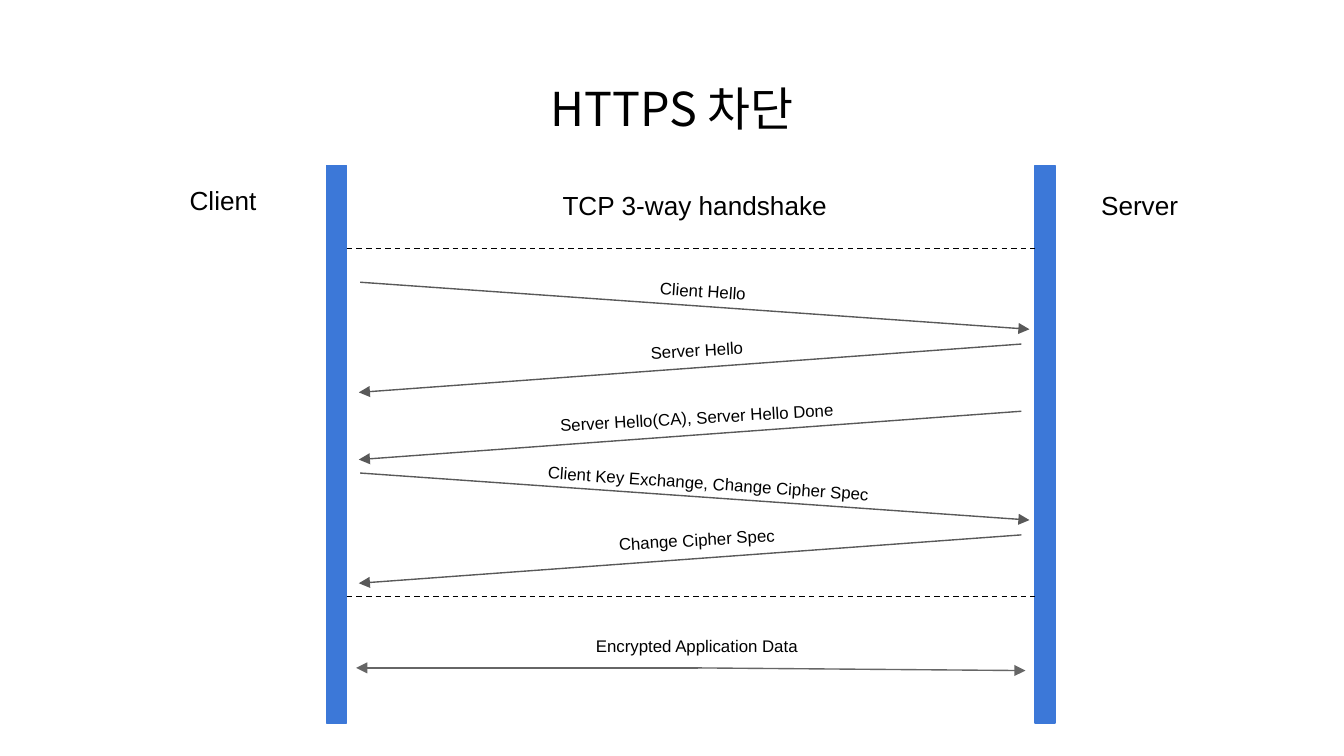
from lxml import etree
from pptx import Presentation
from pptx.dml.color import RGBColor
from pptx.enum.dml import MSO_LINE
from pptx.enum.shapes import MSO_CONNECTOR, MSO_SHAPE
from pptx.enum.text import MSO_ANCHOR, MSO_AUTO_SIZE, PP_ALIGN
from pptx.oxml.ns import qn
from pptx.util import Inches, Pt

STRAIGHT = MSO_CONNECTOR.STRAIGHT
RECTANGLE = MSO_SHAPE.RECTANGLE
DASH = MSO_LINE.DASH
CENTER = PP_ALIGN.CENTER
TOP, MIDDLE = MSO_ANCHOR.TOP, MSO_ANCHOR.MIDDLE
NO_AUTOFIT = MSO_AUTO_SIZE.NONE

COLORS = {"text": "000000", "lifeline": "3C78D8", "message": "595959", "data": "666666"}
BODY_FONT, TITLE_FONT = "Arial", "Noto Sans CJK KR"

# Columns of the sequence diagram, in inches
CLIENT_X, SERVER_X, LIFELINE_W = 2.43, 7.7, 0.15
LIFELINE_TOP, LIFELINE_H = 1.23, 4.15
PHASE_ENDS = (1.85, 4.44)

# Message routes: start x, end x, drop, label width, rotation
TO_SERVER = (2.68, 7.66, 0.35, 4, 3.9)
TO_CLIENT = (7.6, 2.67, 0.36, 4.73, -3.3)
# Text, arrow start y, route, label left, label top
MESSAGES = [
    ("Client Hello", 2.1, TO_SERVER, 3.23, 1.99),
    ("Server Hello", 2.56, TO_CLIENT, 2.82, 2.43),
    ("Server Hello(CA), Server Hello Done", 3.06, TO_CLIENT, 2.82, 2.93),
    ("Client Key Exchange, Change Cipher Spec", 3.52, TO_SERVER, 3.27, 3.42),
    ("Change Cipher Spec", 3.98, TO_CLIENT, 2.82, 3.84),
]
HEADINGS = [
    ("Client", 1.14, 1.27, 1.04, 0.41),
    ("TCP 3-way handshake", 2.83, 1.31, 4.68, 0.55),
    ("Server", 7.96, 1.31, 1.04, 0.41),
]


def rgb(name):
    return RGBColor.from_string(COLORS[name])


def write_text(holder, text, size, font_name=BODY_FONT, anchor=TOP):
    frame = holder.text_frame
    frame.text = text
    frame.word_wrap = True
    frame.auto_size = NO_AUTOFIT
    frame.vertical_anchor = anchor
    frame.margin_left = frame.margin_right = Inches(0.1)
    frame.margin_top = frame.margin_bottom = Inches(0.1)
    paragraph = frame.paragraphs[0]
    paragraph.alignment = CENTER
    paragraph.font.size = Pt(size)
    paragraph.font.name = font_name
    paragraph.font.color.rgb = rgb("text")
    return paragraph


def add_title(slide, text):
    title = slide.shapes.title
    title.left, title.top = Inches(0.34), Inches(0.49)
    title.width, title.height = Inches(9.32), Inches(0.63)
    paragraph = write_text(title, text, 25, TITLE_FONT, MIDDLE)
    # Hangul takes its typeface from the East Asian font slot
    properties = paragraph.font._element
    etree.SubElement(properties, qn("a:ea")).set("typeface", TITLE_FONT)


def add_label(slide, text, left, top, width, height, size, rotation=0):
    label = slide.shapes.add_textbox(*map(Inches, (left, top, width, height)))
    label.rotation = rotation
    write_text(label, text, size)


def add_lifeline(slide, left):
    bar = slide.shapes.add_shape(
        RECTANGLE, *map(Inches, (left, LIFELINE_TOP, LIFELINE_W, LIFELINE_H)))
    bar.shadow.inherit = False
    bar.fill.solid()
    bar.fill.fore_color.rgb = rgb("lifeline")
    bar.line.color.rgb = rgb("lifeline")
    bar.line.width = Pt(0.75)


def add_line(shapes, start, end, color):
    connector = shapes.add_connector(STRAIGHT, *map(Inches, (*start, *end)))
    connector.line.color.rgb = rgb(color)
    connector.line.width = Pt(0.75)
    etree.SubElement(connector._element.spPr, qn("a:effectLst"))
    return connector


def add_arrow(shapes, start, end, color):
    arrow = add_line(shapes, start, end, color)
    etree.SubElement(arrow.line._get_or_add_ln(), qn("a:tailEnd")).set("type", "triangle")


def add_message(slide, text, y, route, label_left, label_top):
    start_x, end_x, drop, label_width, rotation = route
    add_arrow(slide.shapes, (start_x, y), (end_x, y + drop), "message")
    add_label(slide, text, label_left, label_top, label_width, 0.36, 9, rotation)


def add_data_exchange(slide):
    add_label(slide, "Encrypted Application Data", 2.82, 4.63, 4.73, 0.36, 9, 0.1)
    arrows = slide.shapes.add_group_shape().shapes
    for end in ((7.63, 4.99), (2.65, 4.97)):
        add_arrow(arrows, (5.19, 4.97), end, "data")


def main():
    prs = Presentation()
    # Widescreen, 16:9
    prs.slide_width = Inches(10)
    prs.slide_height = prs.slide_width * 9 // 16
    slide = prs.slides.add_slide(prs.slide_layouts[5])
    add_title(slide, "HTTPS 차단")

    # Participants and phase boundaries
    for x in (CLIENT_X, SERVER_X):
        add_lifeline(slide, x)
    for y in PHASE_ENDS:
        boundary = add_line(slide.shapes, (CLIENT_X + LIFELINE_W, y), (SERVER_X, y), "text")
        boundary.line.dash_style = DASH
    for heading in HEADINGS:
        add_label(slide, *heading, 14)

    # Handshake messages, then encrypted traffic
    for message in MESSAGES:
        add_message(slide, *message)
    add_data_exchange(slide)

    prs.save("out.pptx")


if __name__ == "__main__":
    main()
